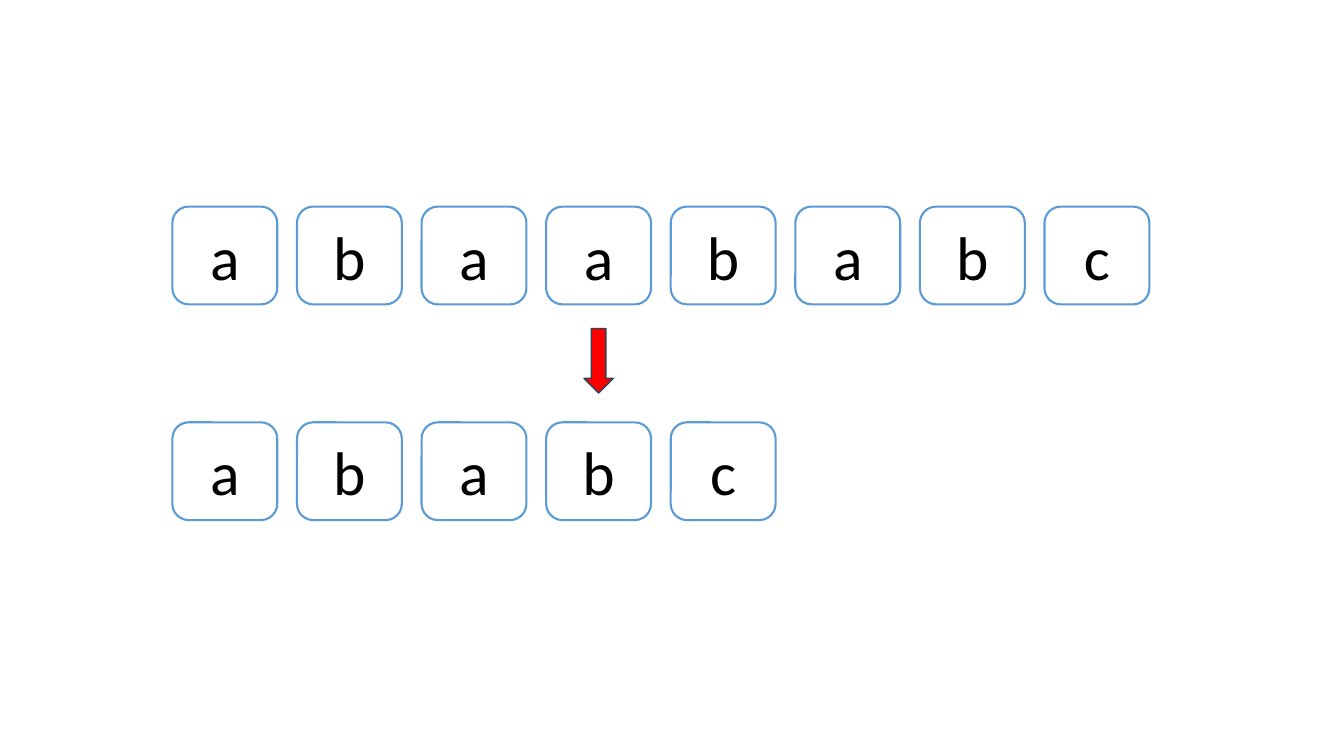
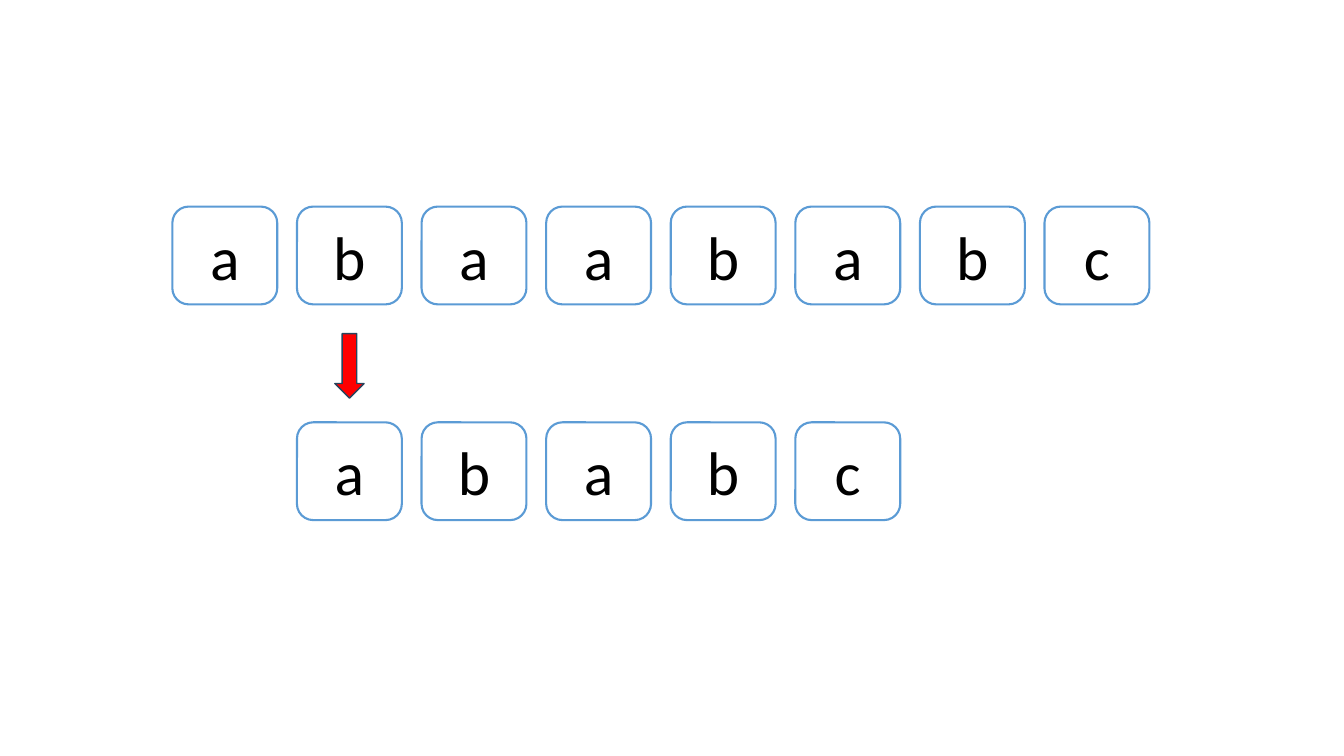
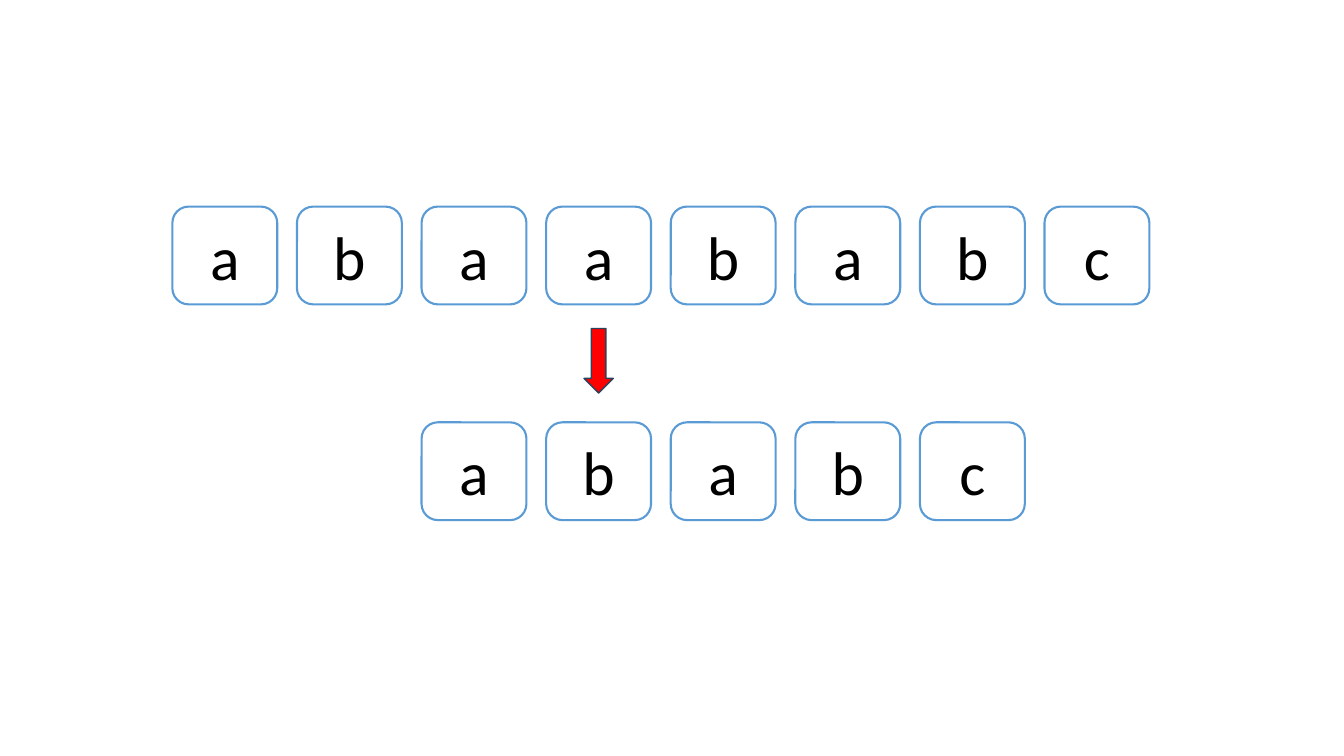
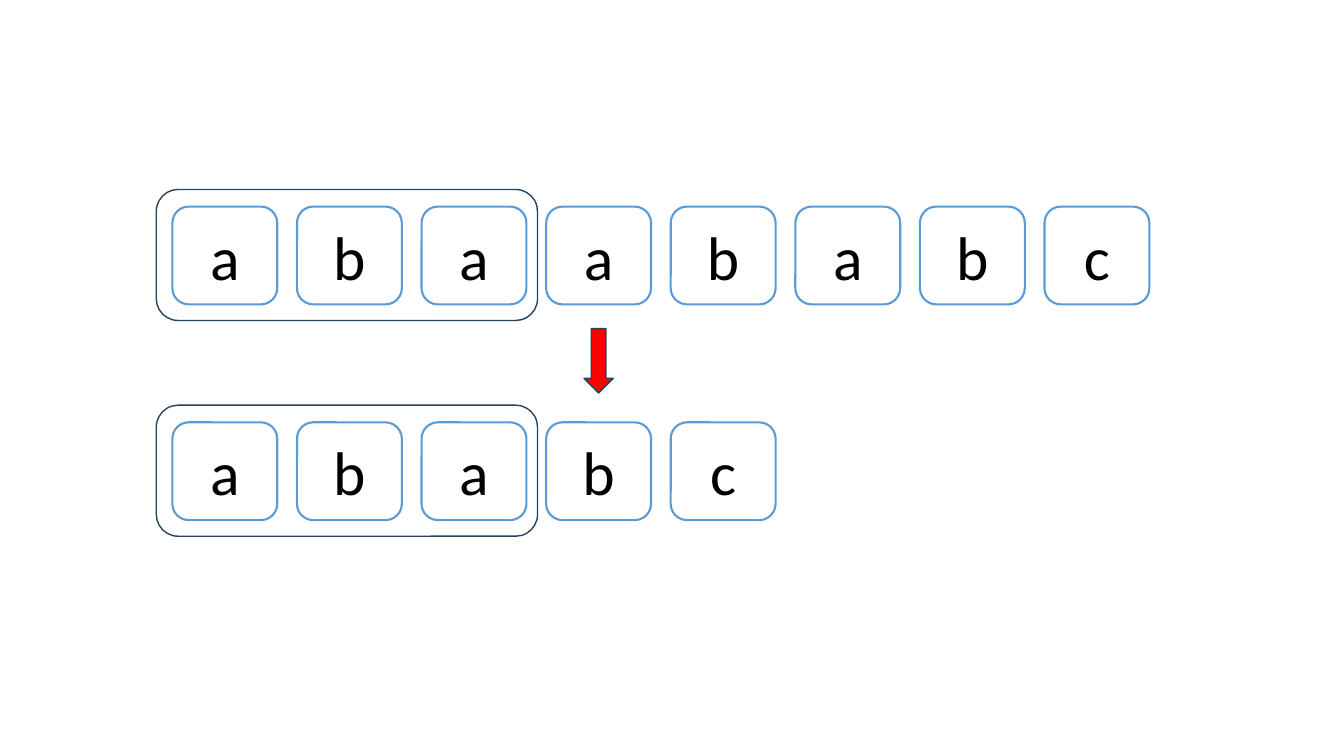
from pptx import Presentation
from pptx.dml.color import RGBColor
from pptx.enum import shapes, text
from pptx.util import Inches, Pt

COLORS = {
    "cell": "FFFFFF",
    "cell_line": "5B9BD5",
    "letter": "000000",
    "arrow": "FF0000",
    "dark_line": "28445D",
}
FONT = "Calibri"
TEXT = "abaababc"
PATTERN = "ababc"
TEXT_TOP, PATTERN_TOP = 2.05, 4.19
CELL_WIDTH, CELL_HEIGHT = 1.04, 0.97
FIRST_LEFT, LAST_LEFT = 1.71, 10.36
PITCH = (LAST_LEFT - FIRST_LEFT) / (len(TEXT) - 1)
ARROW_WIDTH, ARROW_HEIGHT = 0.29, 0.64


def color(name):
    return RGBColor.from_string(COLORS[name])


def slot_left(slot):
    return FIRST_LEFT + slot * PITCH


def add_box(parent, kind, left, top, width, height, line, weight, fill=None):
    box = parent.shapes.add_shape(
        kind, Inches(left), Inches(top), Inches(width), Inches(height))
    box.shadow.inherit = False
    box.line.color.rgb = color(line)
    box.line.width = Pt(weight)
    if fill:
        box.fill.solid()
        box.fill.fore_color.rgb = color(fill)
    else:
        box.fill.background()
    return box


def add_cell(row, letter, slot, top):
    cell = add_box(row, shapes.MSO_SHAPE.ROUNDED_RECTANGLE, slot_left(slot), top,
                   CELL_WIDTH, CELL_HEIGHT, "cell_line", 1.5, "cell")
    cell.text_frame.vertical_anchor = text.MSO_ANCHOR.MIDDLE
    para = cell.text_frame.paragraphs[0]
    para.alignment = text.PP_ALIGN.CENTER
    span = para.add_run()
    span.text = letter
    span.font.name = FONT
    span.font.size = Pt(44)
    span.font.color.rgb = color("letter")


def add_row(page, letters, top, shift=0):
    row = page.shapes.add_group_shape()
    for slot, letter in enumerate(letters, shift):
        add_cell(row, letter, slot, top)


def add_arrow(page, slot, top):
    left = slot_left(slot) + (CELL_WIDTH - ARROW_WIDTH) / 2
    add_box(page, shapes.MSO_SHAPE.DOWN_ARROW, left, top,
            ARROW_WIDTH, ARROW_HEIGHT, "dark_line", 1, "arrow")


def add_prefix_frame(page, count, row_top):
    width = (count - 1) * PITCH + CELL_WIDTH + 0.27
    add_box(page, shapes.MSO_SHAPE.ROUNDED_RECTANGLE, FIRST_LEFT - 0.16,
            row_top - 0.17, width, 1.3, "dark_line", 1)


def add_match_page(deck, shift, arrow_slot, arrow_top=3.26, matched=0):
    page = deck.slides.add_slide(deck.slide_layouts[6])
    add_row(page, TEXT, TEXT_TOP)
    add_row(page, PATTERN, PATTERN_TOP, shift)
    add_arrow(page, arrow_slot, arrow_top)
    if matched:
        for row_top in (TEXT_TOP, PATTERN_TOP):
            add_prefix_frame(page, matched, row_top)


def main():
    deck = Presentation()
    deck.slide_width = Inches(13.33)
    deck.slide_height = Inches(7.5)
    add_match_page(deck, shift=0, arrow_slot=3)
    add_match_page(deck, shift=1, arrow_slot=1, arrow_top=3.31)
    add_match_page(deck, shift=2, arrow_slot=3)
    add_match_page(deck, shift=0, arrow_slot=3, matched=3)
    deck.save("out.pptx")


main()
